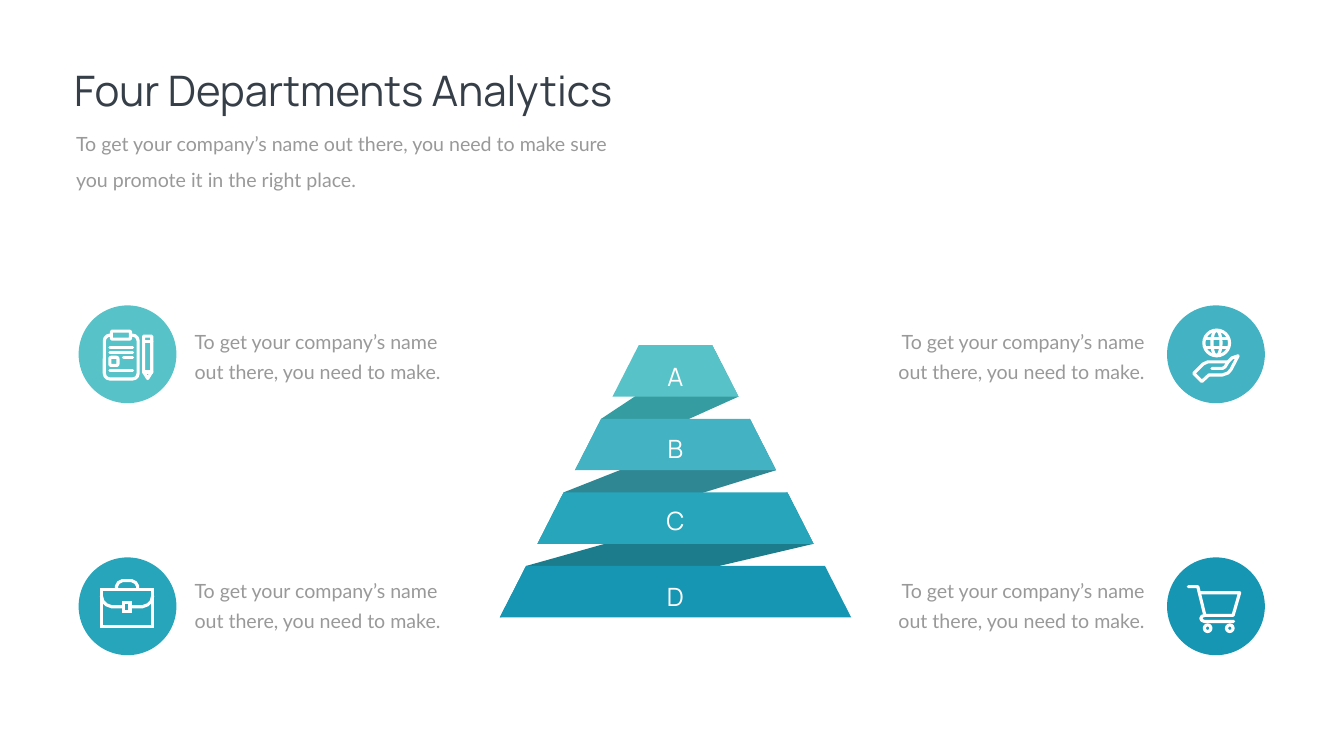
from itertools import pairwise

from lxml.etree import SubElement
from pptx import Presentation
from pptx.dml.color import RGBColor
from pptx.enum.shapes import MSO_CONNECTOR, MSO_SHAPE
from pptx.enum.text import MSO_AUTO_SIZE, PP_ALIGN
from pptx.oxml.ns import qn
from pptx.util import Inches, Pt

TITLE = "Four Departments Analytics"
SUBTITLE = ("To get your company’s name out there, you need to make sure "
            "you promote it in the right place.")
CAPTION = "To get your company’s name out there, you need to make."
INK, GREY, WHITE = "363E48", "999999", "FFFFFF"

TIERS = [
    ("A", "57C3C8", 0.26),
    ("B", "43B2C2", 0.24),
    ("C", "26A5BB", 0.20),
    ("D", "1796B4", 0.25),
]
FOLDS = ["359DA2", "308794", "1C7C8C"]
CENTER, APEX, TIER_STEP, TIER_HEIGHT = 13.4, 6.85, 1.46, 1.02
HALF_BASE, HALF_STEP, SLANT = 1.25, 0.745, 0.52

CLIPBOARD = [
    ("round", (-46, -38, 67, 87)),
    ("round", (-32, -46, 38, 16)),
    ("line", [(-35, -13), (10, -13)]),
    ("line", [(-35, -4), (10, -4)]),
    ("line", [(-8, 6), (10, 6)]),
    ("line", [(-35, 32), (10, 32)]),
    ("round", (-35, 6, 16, 16)),
    ("closed", [(32, -36), (48, -36), (48, 35), (40, 48), (32, 35)]),
    ("line", [(32, -26), (48, -26)]),
    ("line", [(32, 35), (48, 35)]),
]
GLOBE_IN_HAND = [
    ("oval", (-24, -48, 51, 51)),
    ("oval", (-8, -48, 18, 51)),
    ("line", [(-21, -32), (24, -32)]),
    ("line", [(-21, -13), (24, -13)]),
    ("closed", [(-44, 38), (-25, 19), (-16, 15), (24, 15), (32, 7), (44, 3),
                (30, 30), (24, 37), (13, 41), (-14, 41), (-28, 54)]),
    ("open", [(-8, 28), (13, 28), (18, 25), (24, 15)]),
]
BRIEFCASE = [
    ("box", (-52, -34, 102, 74)),
    ("open", [(-22, -34), (-22, -40), (-18, -47), (-10, -51), (8, -51),
              (16, -47), (20, -40), (20, -34)]),
    ("open", [(-52, -21), (-49, -10), (-42, -3), (-31, 1), (29, 1),
              (40, -3), (47, -10), (50, -21)]),
    ("box", (-8, -8, 13, 18)),
]
CART = [
    ("open", [(-55, -39), (-36, -39), (-22, 18), (34, 18), (47, -27), (-32, -27)]),
    ("open", [(-22, 18), (-28, 20), (-30, 24), (-28, 28), (-23, 30), (35, 30)]),
    ("oval", (-23, 37, 13, 13)),
    ("oval", (21, 37, 13, 13)),
]
DEPARTMENTS = [
    (0, 0, "57C3C8", CLIPBOARD),
    (1, 0, "43B2C2", GLOBE_IN_HAND),
    (0, 1, "26A5BB", BRIEFCASE),
    (1, 1, "1796B4", CART),
]
BADGE, STROKE = 1.94, 4.5
BADGE_COLUMNS, BADGE_ROWS = (1.56, 23.15), (6.06, 11.06)
CAPTION_COLUMNS, CAPTION_ROWS = (3.76, 17.48), (6.37, 11.31)
PRESETS = {"round": MSO_SHAPE.ROUNDED_RECTANGLE, "box": MSO_SHAPE.RECTANGLE,
           "oval": MSO_SHAPE.OVAL}


def color(hex_string):
    """Turn a hex string into a colour."""
    return RGBColor.from_string(hex_string)


def add_text(slide, words, box, size, font, ink, align=PP_ALIGN.LEFT, spacing=None):
    """Add a wrapped text box of one paragraph."""
    frame = slide.shapes.add_textbox(*map(Inches, box)).text_frame
    frame.word_wrap = True
    frame.auto_size = MSO_AUTO_SIZE.SHAPE_TO_FIT_TEXT
    paragraph = frame.paragraphs[0]
    paragraph.text = words
    paragraph.alignment = align
    paragraph.line_spacing = spacing
    paragraph.font.size = Pt(size)
    paragraph.font.name = font
    paragraph.font.color.rgb = color(ink)


def paint(shape, fill):
    """Give a shape a plain fill without line or shadow."""
    shape.shadow.inherit = False
    shape.fill.solid()
    shape.fill.fore_color.rgb = color(fill)
    shape.line.fill.background()


def add_outline(slide, points, closed=True):
    """Add a freeform through points given in inches."""
    start, *rest = [(Inches(x), Inches(y)) for x, y in points]
    builder = slide.shapes.build_freeform(*start, scale=1.0)
    builder.add_line_segments(rest, close=closed)
    return builder.convert_to_shape()


def add_stroke(slide, kind, geometry, center, fill):
    """Draw one white icon part, in hundredths of an inch from the center."""
    cx, cy = center
    if kind in PRESETS:
        left, top, width, height = (n / 100 for n in geometry)
        part = slide.shapes.add_shape(
            PRESETS[kind], *map(Inches, (cx + left, cy + top, width, height)))
        paint(part, fill)
    else:
        points = [(cx + x / 100, cy + y / 100) for x, y in geometry]
        if kind == "line":
            ends = [Inches(n) for point in points for n in point]
            part = slide.shapes.add_connector(MSO_CONNECTOR.STRAIGHT, *ends)
            SubElement(part._element.spPr, qn("a:effectLst"))
        else:
            part = add_outline(slide, points, kind == "closed")
            part.shadow.inherit = False
            part.fill.background()
    part.line.color.rgb = color(WHITE)
    part.line.width = Pt(STROKE)
    line = part.line._get_or_add_ln()
    line.set("cap", "rnd")
    SubElement(line, qn("a:miter" if kind == "box" else "a:round"))


def add_department(slide, column, row, fill, icon):
    """Add a round badge with its icon and caption."""
    left, top = BADGE_COLUMNS[column], BADGE_ROWS[row]
    badge = slide.shapes.add_shape(
        MSO_SHAPE.OVAL, *map(Inches, (left, top, BADGE, BADGE)))
    paint(badge, fill)
    for kind, geometry in icon:
        add_stroke(slide, kind, geometry, (left + BADGE / 2, top + BADGE / 2), fill)
    add_text(slide, CAPTION, (CAPTION_COLUMNS[column], CAPTION_ROWS[row], 5.32, 1.25),
             28, "Lato", GREY, (PP_ALIGN.LEFT, PP_ALIGN.RIGHT)[column], Pt(43))


def tier_corners(index):
    """Return top left, top right, bottom right and bottom left of a tier."""
    top, half = APEX + index * TIER_STEP, HALF_BASE + index * HALF_STEP
    bottom, narrow = top + TIER_HEIGHT, half - SLANT
    return [(CENTER - narrow, top), (CENTER + narrow, top),
            (CENTER + half, bottom), (CENTER - half, bottom)]


def add_pyramid(slide):
    """Add the folded ribbon pyramid with its letters."""
    corners = [tier_corners(index) for index in range(len(TIERS))]
    for (upper, lower), fill in reversed(list(zip(pairwise(corners), FOLDS))):
        paint(add_outline(slide, [lower[3], upper[2], upper[1], lower[0]]), fill)
    for tier, (letter, fill, drop) in zip(corners, TIERS):
        paint(add_outline(slide, tier), fill)
        add_text(slide, letter, (CENTER - 1.38, tier[0][1] + drop, 2.75, 0.71),
                 36, "Manrope", WHITE, PP_ALIGN.CENTER)


def main():
    """Build and save the slide."""
    deck = Presentation()
    deck.slide_width, deck.slide_height = Inches(26.66), Inches(15)
    slide = deck.slides.add_slide(deck.slide_layouts[6])
    add_text(slide, TITLE, (1.37, 1.23, 13.95, 1.11), 60, "Manrope", INK)
    add_text(slide, SUBTITLE, (1.41, 2.34, 11.21, 1.42), 28, "Lato", GREY, spacing=1.5)
    for department in DEPARTMENTS:
        add_department(slide, *department)
    add_pyramid(slide)
    deck.save("out.pptx")


if __name__ == "__main__":
    main()
